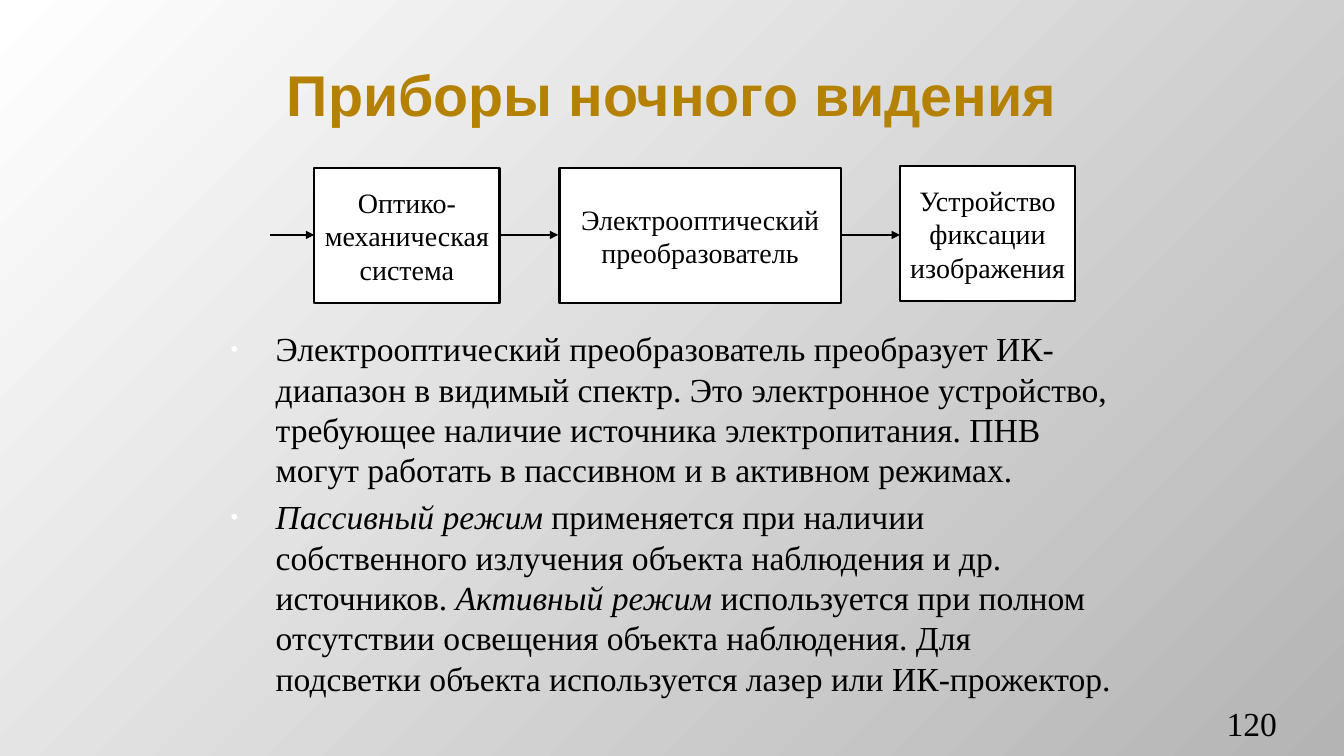
from lxml.etree import SubElement as Sub
from pptx import Presentation
from pptx.dml.color import RGBColor
from pptx.enum.shapes import MSO_CONNECTOR as Conn, MSO_SHAPE as Kind
from pptx.enum.text import MSO_ANCHOR as Anchor, PP_ALIGN as Align
from pptx.oxml.ns import qn
from pptx.util import Cm, Pt

SERIF = "Times New Roman"
BLACK, WHITE, GREY, GOLD = "000000", "FFFFFF", "B4B4B4", "B48200"


def color(code):
    return RGBColor.from_string(code)


def write(para, text, size=24, font=SERIF, fill=BLACK, bold=False, italic=False):
    run = para.add_run()
    run.text = text
    face = run.font
    face.size, face.name = Pt(size), font
    face.bold, face.italic = bold, italic
    face.color.rgb = color(fill)


class Deck:
    def __init__(self):
        self.prs = Presentation()
        self.prs.slide_width, self.prs.slide_height = Cm(33.87), Cm(19.05)
        self.slide = self.prs.slides.add_slide(self.prs.slide_layouts[5])
        self.shapes = self.slide.shapes

    def shade(self, start, end):
        """Fill the background with a gradient from the top left corner."""
        fill = self.slide.background.fill
        fill.gradient()
        for stop, code, pos in zip(fill.gradient_stops, (start, end), (0, 1)):
            stop.color.rgb, stop.position = color(code), pos
        grad = self.slide.element.find(".//" + qn("a:gradFill"))
        grad.remove(grad.find(qn("a:lin")))
        route = Sub(grad, qn("a:path"), path="circle")
        Sub(route, qn("a:fillToRect"), r="100000", b="100000")

    def title(self, text, *area):
        head = self.shapes.title
        self.place(head, area)
        frame = head.text_frame
        frame.vertical_anchor = Anchor.MIDDLE
        para = frame.paragraphs[0]
        para.alignment = Align.CENTER
        write(para, text, size=41, font="Arial", fill=GOLD, bold=True)

    def place(self, shape, area):
        shape.left, shape.top, shape.width, shape.height = map(Cm, area)

    def frame(self, *area):
        """Add a wrapping text box and return its text frame."""
        frame = self.shapes.add_textbox(*map(Cm, area)).text_frame
        frame.word_wrap = True
        return frame

    def bullets(self, items, *area):
        """Each item is a list of (text, italic) pairs."""
        frame = self.frame(*area)
        for num, parts in enumerate(items):
            para = frame.add_paragraph() if num else frame.paragraphs[0]
            props = para._p.get_or_add_pPr()
            props.set("marL", str(Cm(1.52)))
            props.set("indent", str(Cm(-1.14)))
            space = Sub(props, qn("a:spcBef"))
            Sub(space, qn("a:spcPct"), val="20000")
            tint = Sub(props, qn("a:buClr"))
            Sub(tint, qn("a:srgbClr"), val=WHITE)
            Sub(props, qn("a:buSzPct"), val="65000")
            Sub(props, qn("a:buFont"), typeface="Arial")
            Sub(props, qn("a:buChar"), char="•")
            for text, slant in parts:
                write(para, text, italic=slant)

    def number(self, text, *area):
        frame = self.frame(*area)
        frame.margin_left = frame.margin_right = 0
        frame.vertical_anchor = Anchor.BOTTOM
        para = frame.paragraphs[0]
        para.alignment = Align.RIGHT
        write(para, text)

    def arrow(self, left, right, y):
        line = self.shapes.add_connector(
            Conn.STRAIGHT, Cm(left), Cm(y), Cm(right), Cm(y))
        line.line.color.rgb, line.line.width = color(BLACK), Pt(1)
        Sub(line.line._get_or_add_ln(), qn("a:tailEnd"), type="triangle")
        Sub(line._element.spPr, qn("a:effectLst"))

    def box(self, lines, *area):
        rect = self.shapes.add_shape(Kind.RECTANGLE, *map(Cm, area))
        rect.shadow.inherit = False
        rect.fill.solid()
        rect.fill.fore_color.rgb = color(WHITE)
        rect.line.color.rgb, rect.line.width = color(BLACK), Pt(1.5)
        frame = rect.text_frame
        frame.word_wrap = True
        frame.vertical_anchor = Anchor.MIDDLE
        for num, text in enumerate(lines):
            para = frame.add_paragraph() if num else frame.paragraphs[0]
            para.alignment = Align.CENTER
            write(para, text, size=20)


NOTES = [
    [("Электрооптический преобразователь преобразует ИК-диапазон в видимый "
      "спектр. Это электронное устройство, требующее наличие источника "
      "электропитания. ПНВ могут работать в пассивном и в активном режимах.",
      False)],
    [("Пассивный режим ", True),
     ("применяется при наличии собственного излучения объекта наблюдения "
      "и др. источников. ", False),
     ("Активный режим ", True),
     ("используется при полном отсутствии освещения объекта наблюдения. "
      "Для подсветки объекта используется лазер или ИК-прожектор.", False)],
]
STAGES = [
    (["Оптико-", "механическая", "система"], 7.92, 4.24, 4.67),
    (["Электрооптический преобразователь"], 14.1, 4.24, 7.09),
    (["Устройство фиксации изображения"], 22.68, 4.19, 4.42),
]
ARROWS = [(12.07, 14.07), (20.68, 22.68), (6.81, 7.92)]


def main():
    deck = Deck()
    deck.shade(WHITE, GREY)
    deck.title("Приборы ночного видения", 1.7, 0.76, 30.48, 3.18)
    deck.bullets(NOTES, 5.18, 8.15, 23.19, 9.12)
    deck.number("120", 29.36, 17.83, 2.82, 1.02)
    for left, right in ARROWS:
        deck.arrow(left, right, 5.92)
    for lines, left, top, width in STAGES:
        deck.box(lines, left, top, width, 3.4)
    deck.prs.save("out.pptx")


if __name__ == "__main__":
    main()
